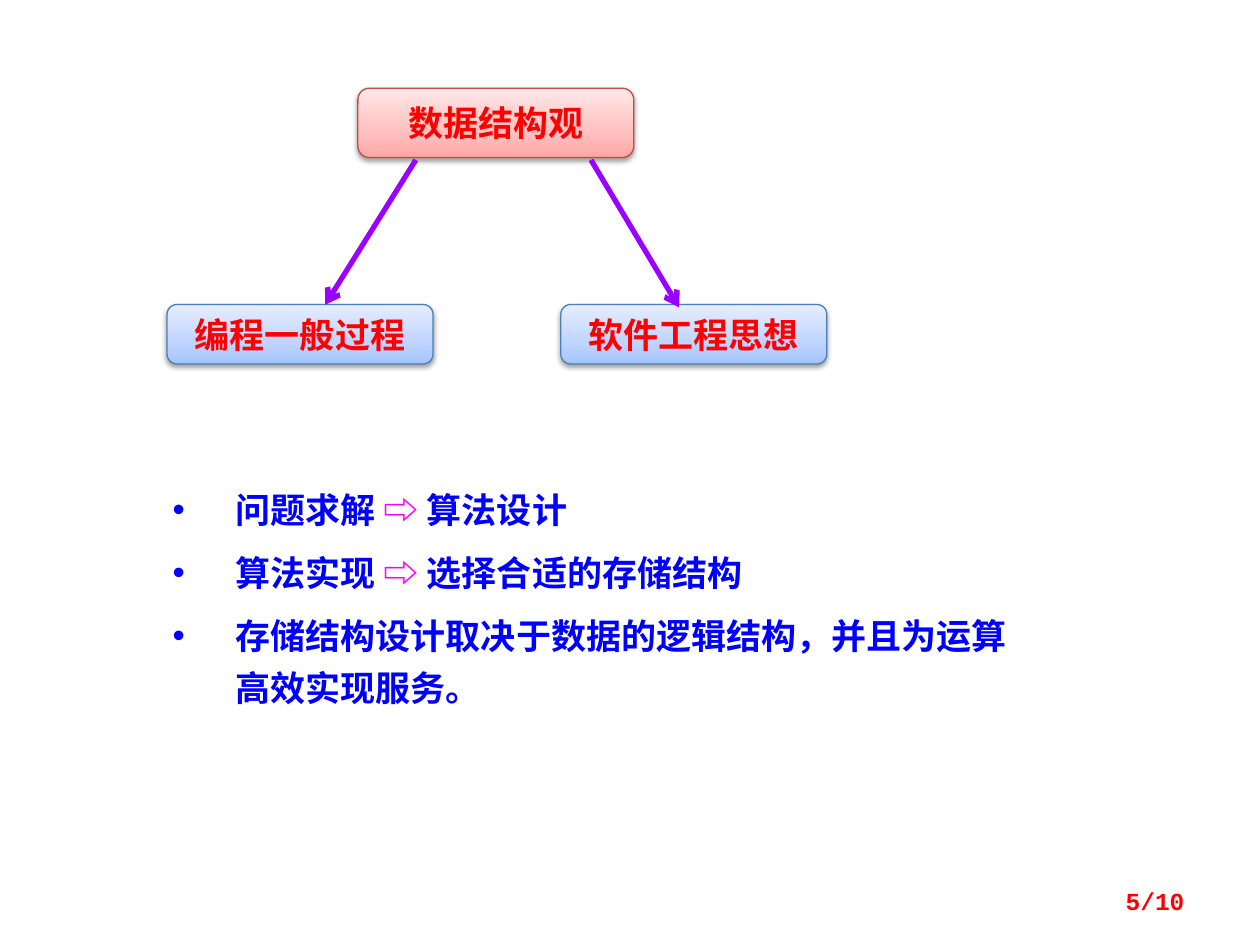
from copy import deepcopy

from lxml import etree
from pptx import Presentation
from pptx import util as u
from pptx.dml.color import RGBColor
from pptx.enum import shapes, text
from pptx.oxml import ns

RED = RGBColor(0xFF, 0x00, 0x00)
BLUE = RGBColor(0x00, 0x00, 0xFF)
MAGENTA = RGBColor(0xFF, 0x00, 0xFF)
PURPLE = RGBColor(0x99, 0x00, 0xFF)
WHITE = RGBColor(0xFF, 0xFF, 0xFF)
ROSE_EDGE = RGBColor(0xBF, 0x4C, 0x48)
SKY_EDGE = RGBColor(0x4B, 0x7E, 0xBC)
ROSE = [RGBColor(0xFF, 0xA6, 0xA5), RGBColor(0xFF, 0xC0, 0xBF), RGBColor(0xFF, 0xE7, 0xE7)]
SKY = [RGBColor(0xA4, 0xC4, 0xFF), RGBColor(0xBF, 0xD4, 0xFF), RGBColor(0xE6, 0xEE, 0xFF)]
STOPS = [0, 0.35, 1]

CJK = "Noto Sans CJK SC"
MONO = "Courier New"
ARROW = "⇨"
POINTS = [
    ["问题求解 ", ARROW, " 算法设计"],
    ["算法实现 ", ARROW, " 选择合适的存储结构"],
    ["存储结构设计取决于数据的逻辑结构，并且为运算高效实现服务。"],
]


def apply(target, values):
    for name, value in values.items():
        setattr(target, name, value)


def child(parent, tag, **attributes):
    return etree.SubElement(parent, ns.qn(tag), attributes)


def add_span(para, words, size, color, font):
    span = para.add_run()
    span.text = words
    apply(span.font, {"size": u.Pt(size), "bold": True, "name": font})
    span.font.color.rgb = color
    child(span.font._element, "a:ea", typeface=CJK)


def fill_gradient(shape, colors):
    shape.fill.gradient()
    shape.fill.gradient_angle = 90
    stop_list = shape._element.spPr.find(".//" + ns.qn("a:gsLst"))
    stop_list.insert(1, deepcopy(stop_list[0]))
    for stop, position, color in zip(shape.fill.gradient_stops, STOPS, colors):
        stop.position = position
        stop.color.rgb = color


def add_shadow(shape):
    effects = child(shape._element.spPr, "a:effectLst")
    shadow = child(effects, "a:outerShdw", blurRad=str(u.Pt(3.1)), dist=str(u.Pt(1.6)),
                   dir="5400000", rotWithShape="0")
    color = child(shadow, "a:srgbClr", val="000000")
    child(color, "a:alpha", val="38000")


def add_node(page, words, left, top, width, height, colors, edge, inset_top=3.6):
    node = page.shapes.add_shape(shapes.MSO_SHAPE.ROUNDED_RECTANGLE,
                                 u.Pt(left), u.Pt(top), u.Pt(width), u.Pt(height))
    fill_gradient(node, colors)
    node.line.color.rgb = edge
    node.line.width = u.Pt(0.75)
    add_shadow(node)
    apply(node.text_frame, {"word_wrap": True, "margin_top": u.Pt(inset_top),
                            "vertical_anchor": text.MSO_ANCHOR.TOP})
    para = node.text_frame.paragraphs[0]
    para.alignment = text.PP_ALIGN.CENTER
    add_span(para, words, 20, RED, CJK)


def add_arrow(page, *ends):
    arrow = page.shapes.add_connector(shapes.MSO_CONNECTOR.STRAIGHT, *map(u.Pt, ends))
    arrow.line.color.rgb = PURPLE
    arrow.line.width = u.Pt(3)
    child(arrow.line._ln, "a:tailEnd", type="arrow")
    child(arrow._element.spPr, "a:effectLst")


def fill_list(body):
    apply(body, {"left": u.Pt(84.25), "top": u.Pt(264.25),
                 "width": u.Pt(500.4), "height": u.Pt(150.5)})
    body.fill.solid()
    body.fill.fore_color.rgb = WHITE
    frame = body.text_frame
    apply(frame, {"word_wrap": True, "auto_size": text.MSO_AUTO_SIZE.NONE,
                  "vertical_anchor": text.MSO_ANCHOR.TOP,
                  "margin_left": u.Pt(14.4), "margin_right": u.Pt(7.2),
                  "margin_top": u.Pt(8.64), "margin_bottom": u.Pt(8.64)})
    for index, parts in enumerate(POINTS):
        para = frame.add_paragraph() if index else frame.paragraphs[0]
        properties = para._p.get_or_add_pPr()
        properties.set("marL", str(u.Pt(36)))
        properties.set("indent", str(u.Pt(-36)))
        child(properties, "a:buChar", char="•")
        apply(para, {"line_spacing": u.Pt(30), "space_before": u.Pt(6 if index else 0),
                     "space_after": u.Pt(0), "alignment": text.PP_ALIGN.LEFT})
        for part in parts:
            add_span(para, part, 20, MAGENTA if part == ARROW else BLUE, MONO)


def add_page_number(page, words):
    box = page.shapes.add_textbox(u.Pt(516.25), u.Pt(500.4), u.Pt(167.75), u.Pt(28.8))
    apply(box.text_frame, {"word_wrap": True, "vertical_anchor": text.MSO_ANCHOR.MIDDLE})
    para = box.text_frame.paragraphs[0]
    para.alignment = text.PP_ALIGN.RIGHT
    add_span(para, words, 14, RED, MONO)


def main():
    deck = Presentation()
    deck.slide_width, deck.slide_height = u.Pt(720), u.Pt(540)
    page = deck.slides.add_slide(deck.slide_layouts[1])
    title = page.shapes.title._element
    title.getparent().remove(title)

    add_node(page, "数据结构观", 204.5, 50.4, 157.7, 39.6, ROSE, ROSE_EDGE, 5.76)
    for words, left in [("编程一般过程", 95.5), ("软件工程思想", 320.5)]:
        add_node(page, words, left, 174, 152, 34, SKY, SKY_EDGE)
    add_arrow(page, 237.6, 91.4, 185.8, 174.2)
    add_arrow(page, 337.7, 91.4, 388.1, 175.7)
    fill_list(page.placeholders[1])
    add_page_number(page, "5/10")
    deck.save("out.pptx")


if __name__ == "__main__":
    main()
